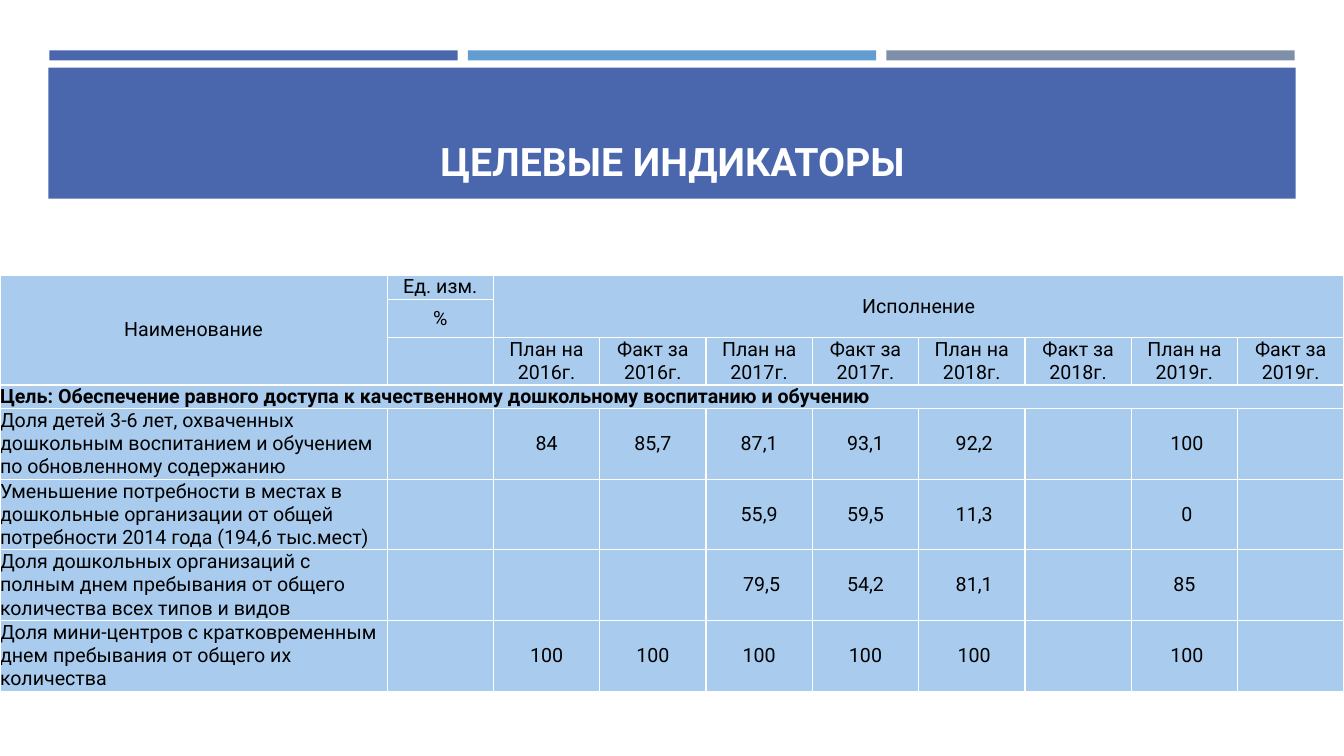
from lxml.etree import SubElement
from pptx import Presentation
from pptx.dml.color import RGBColor
from pptx.enum.shapes import MSO_SHAPE
from pptx.enum.text import MSO_ANCHOR, PP_ALIGN
from pptx.oxml.ns import qn
from pptx.util import Inches, Pt

COLORS = {"blue": "4A66AC", "sky": "629DD1", "slate": "7F8FA9",
          "cell": "A9CCEE", "white": "FFFFFF", "black": "000000"}
FONT = "Roboto"
SLIDE_WIDTH, SLIDE_HEIGHT = 13.33, 7.5
NAME_WIDTH, VALUE_COLUMNS = 3.84, 9
ROW_HEIGHTS = [0.24, 0.38, 0.47, 0.23] + [0.69] * 4

GOAL = "Цель: Обеспечение равного доступа к качественному дошкольному воспитанию и обучению"
PERIODS = [f"{kind} {year}г." for year in range(2016, 2020) for kind in ("План на", "Факт за")]
INDICATORS = [
    ["Доля детей 3-6 лет, охваченных дошкольным воспитанием и обучением "
     "по обновленному содержанию",
     "", "84", "85,7", "87,1", "93,1", "\u00a092,2", "", "\u00a0100", ""],
    ["Уменьшение потребности в местах в дошкольные организации от общей "
     "потребности 2014 года (194,6 тыс.мест)",
     "", "", "", "55,9", "59,5", "\u00a011,3", "", "\u00a00", ""],
    ["Доля дошкольных организаций с полным днем пребывания от общего "
     "количества всех типов и видов",
     "", "", "", "\u00a079,5", "54,2", "\u00a081,1", "", "85", ""],
    ["Доля мини-центров с кратковременным днем пребывания от общего их количества",
     "", "100", "100", "100", "100", "\u00a0100", "", "\u00a0100", ""],
]
ROWS = [
    ["Наименование", "Ед. изм.", "Исполнение"] + [""] * 7,
    ["", "%"] + [""] * 8,
    ["", ""] + PERIODS,
    [GOAL] + [""] * 9,
] + INDICATORS
GOAL_ROW = 3
# First and last cell of each merged area, as (row, column)
SPANS = [((0, 0), (2, 0)), ((0, 2), (1, 9)), ((GOAL_ROW, 0), (GOAL_ROW, 9))]


def rgb(name):
    """Return the named palette colour."""
    return RGBColor.from_string(COLORS[name])


def write_text(frame, text, size=14, color="black", bold=False, align=PP_ALIGN.CENTER):
    """Put one formatted paragraph into a text frame."""
    paragraph = frame.paragraphs[0]
    paragraph.alignment = align
    run = paragraph.add_run()
    run.text = text
    run.font.name = FONT
    run.font.size = Pt(size)
    run.font.bold = bold
    run.font.color.rgb = rgb(color)


def add_bar(slide, left, top, width, height, color):
    """Draw a plain filled rectangle."""
    bar = slide.shapes.add_shape(MSO_SHAPE.RECTANGLE, Inches(left), Inches(top),
                                 Inches(width), Inches(height))
    bar.shadow.inherit = False
    bar.fill.solid()
    bar.fill.fore_color.rgb = rgb(color)
    bar.line.fill.background()


def add_title(slide, text):
    """Write the heading at the bottom of the banner."""
    title = slide.shapes.add_textbox(Inches(0.64), Inches(0.77), Inches(12.06), Inches(1.11))
    title.text_frame.word_wrap = True
    title.text_frame.vertical_anchor = MSO_ANCHOR.BOTTOM
    write_text(title.text_frame, text, size=28, color="white", bold=True)


def add_borders(cell, color, width):
    """Outline a table cell on all four sides."""
    properties = cell._tc.get_or_add_tcPr()
    for side in ("a:lnL", "a:lnR", "a:lnT", "a:lnB"):
        line = SubElement(properties, qn(side), w=str(Pt(width)))
        SubElement(SubElement(line, qn("a:solidFill")), qn("a:srgbClr"), val=COLORS[color])


def format_cell(cell):
    """Give a cell its borders, fill, zero margins and middle anchor."""
    add_borders(cell, "white", 1)
    cell.fill.solid()
    cell.fill.fore_color.rgb = rgb("cell")
    cell.margin_left = cell.margin_right = cell.margin_top = cell.margin_bottom = 0
    cell.vertical_anchor = MSO_ANCHOR.MIDDLE


def add_indicator_table(slide):
    """Build the table of planned and actual indicators."""
    table = slide.shapes.add_table(len(ROWS), len(ROWS[0]), 0, Inches(2.73),
                                   Inches(SLIDE_WIDTH), Inches(sum(ROW_HEIGHTS))).table
    table.first_row = table.horz_banding = False
    value_width = (SLIDE_WIDTH - NAME_WIDTH) / VALUE_COLUMNS
    for column, width in zip(table.columns, [NAME_WIDTH] + [value_width] * VALUE_COLUMNS):
        column.width = Inches(width)
    for row, height in zip(table.rows, ROW_HEIGHTS):
        row.height = Inches(height)
    for first, last in SPANS:
        table.cell(*first).merge(table.cell(*last))
    for r, texts in enumerate(ROWS):
        for c, text in enumerate(texts):
            cell = table.cell(r, c)
            format_cell(cell)
            is_name = c == 0 and r >= GOAL_ROW
            write_text(cell.text_frame, text, bold=r == GOAL_ROW,
                       align=PP_ALIGN.LEFT if is_name else PP_ALIGN.CENTER)


def main():
    """Build and save the slide."""
    deck = Presentation()
    deck.slide_width, deck.slide_height = Inches(SLIDE_WIDTH), Inches(SLIDE_HEIGHT)
    slide = deck.slides.add_slide(deck.slide_layouts[6])
    for i, color in enumerate(("blue", "sky", "slate")):
        add_bar(slide, 0.49 + i * 4.15, 0.5, 4.05, 0.1, color)
    add_bar(slide, 0.48, 0.67, 12.37, 1.3, "blue")
    add_title(slide, "ЦЕЛЕВЫЕ ИНДИКАТОРЫ")
    add_indicator_table(slide)
    deck.save("out.pptx")


main()
